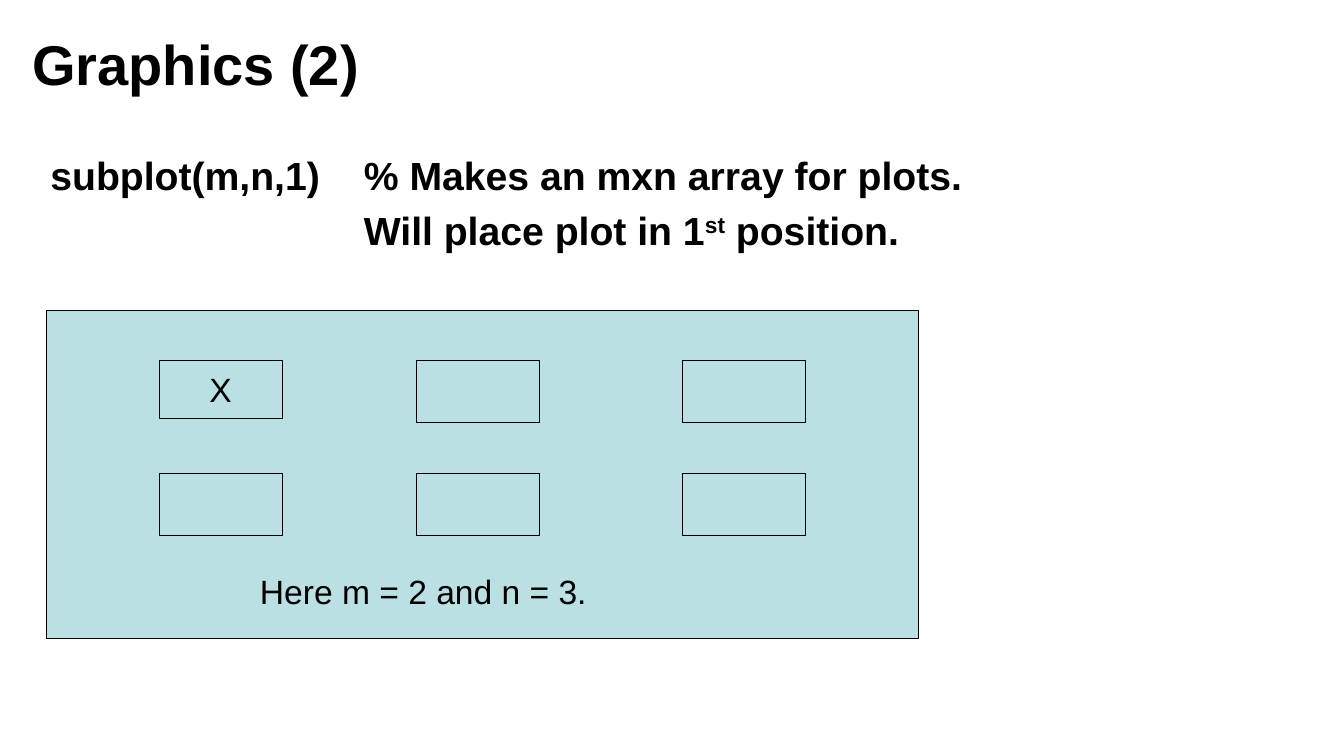
from dataclasses import dataclass
from itertools import product

from lxml.etree import SubElement
from pptx import Presentation
from pptx.dml.color import RGBColor
from pptx.enum.shapes import MSO_SHAPE
from pptx.enum.text import MSO_ANCHOR, MSO_AUTO_SIZE, PP_ALIGN
from pptx.oxml import parse_xml
from pptx.oxml.ns import nsdecls, qn
from pptx.util import Cm, Pt

BLACK = RGBColor(0x00, 0x00, 0x00)
PALE_TEAL = RGBColor(0xBB, 0xE0, 0xE3)
FONT = "Arial"
COMMENT_TAB = Cm(7.9)
COLUMN_LEFTS = (4.01, 10.49, 17.2)
ROW_TOPS = (9.09, 11.94)


@dataclass
class Area:
    left: float
    top: float
    width: float
    height: float

    def lengths(self) -> tuple:
        return Cm(self.left), Cm(self.top), Cm(self.width), Cm(self.height)


def format_runs(frame, size: float, bold: bool = False) -> None:
    for para in frame.paragraphs:
        for span in para.runs:
            span.font.name = FONT
            span.font.size = Pt(size)
            span.font.bold = bold
            span.font.color.rgb = BLACK


def add_panel(page, area: Area, label: str = "") -> None:
    box = page.shapes.add_shape(MSO_SHAPE.RECTANGLE, *area.lengths())
    box.shadow.inherit = False
    box.fill.solid()
    box.fill.fore_color.rgb = PALE_TEAL
    box.line.color.rgb = BLACK
    box.line.width = Pt(0.75)
    if label:
        frame = box.text_frame
        frame.text = label
        frame.word_wrap = False
        frame.vertical_anchor = MSO_ANCHOR.MIDDLE
        frame.paragraphs[0].alignment = PP_ALIGN.CENTER
        format_runs(frame, 24)


def add_text(page, area: Area):
    frame = page.shapes.add_textbox(*area.lengths()).text_frame
    frame.word_wrap = True
    return frame


def add_title(page, area: Area, text: str) -> None:
    title = page.shapes.title
    title.left, title.top, title.width, title.height = area.lengths()
    frame = title.text_frame
    frame.text = text
    frame.auto_size = MSO_AUTO_SIZE.NONE
    frame.vertical_anchor = MSO_ANCHOR.MIDDLE
    para = frame.paragraphs[0]
    para.alignment = PP_ALIGN.LEFT
    format_runs(frame, 40, bold=True)
    # Soft grey shadow behind the letters
    shadow = parse_xml(
        f'<a:effectLst {nsdecls("a")}><a:outerShdw dist="35921" dir="2700000">'
        '<a:srgbClr val="C0C0C0"/></a:outerShdw></a:effectLst>'
    )
    para.runs[0].font._element.find(qn("a:solidFill")).addnext(shadow)


def add_tab_stop(para) -> None:
    tabs = SubElement(para._p.get_or_add_pPr(), qn("a:tabLst"))
    SubElement(tabs, qn("a:tab"), pos=str(COMMENT_TAB), algn="l")


def add_command(page, area: Area) -> None:
    frame = add_text(page, area)
    first = frame.paragraphs[0]
    first.text = "subplot(m,n,1)\t% Makes an mxn array for plots."
    second = frame.add_paragraph()
    for text in ("\tWill place plot in 1", "st", " position."):
        second.add_run().text = text
    second.space_before = Pt(6)
    for para in (first, second):
        add_tab_stop(para)
    format_runs(frame, 28, bold=True)
    second.runs[1].font._element.set("baseline", "30000")


def main() -> None:
    deck = Presentation()
    deck.slide_width, deck.slide_height = Cm(33.87), Cm(19.05)
    page = deck.slides.add_slide(deck.slide_layouts[5])

    # Title and command
    add_title(page, Area(0.56, 0.43, 32.74, 2.34), "Graphics (2)")
    add_command(page, Area(1.02, 3.68, 32.74, 3.4))

    # Figure window with its grid of plots
    add_panel(page, Area(1.17, 7.82, 21.97, 8.28))
    for index, (top, left) in enumerate(product(ROW_TOPS, COLUMN_LEFTS)):
        is_first = index == 0
        area = Area(left, top, 3.1, 1.45 if is_first else 1.55)
        add_panel(page, area, "X" if is_first else "")

    # Caption
    caption = add_text(page, Area(6.3, 14.27, 9.78, 1.27))
    caption.text = "Here m = 2 and n = 3."
    format_runs(caption, 24)

    deck.save("out.pptx")


if __name__ == "__main__":
    main()
